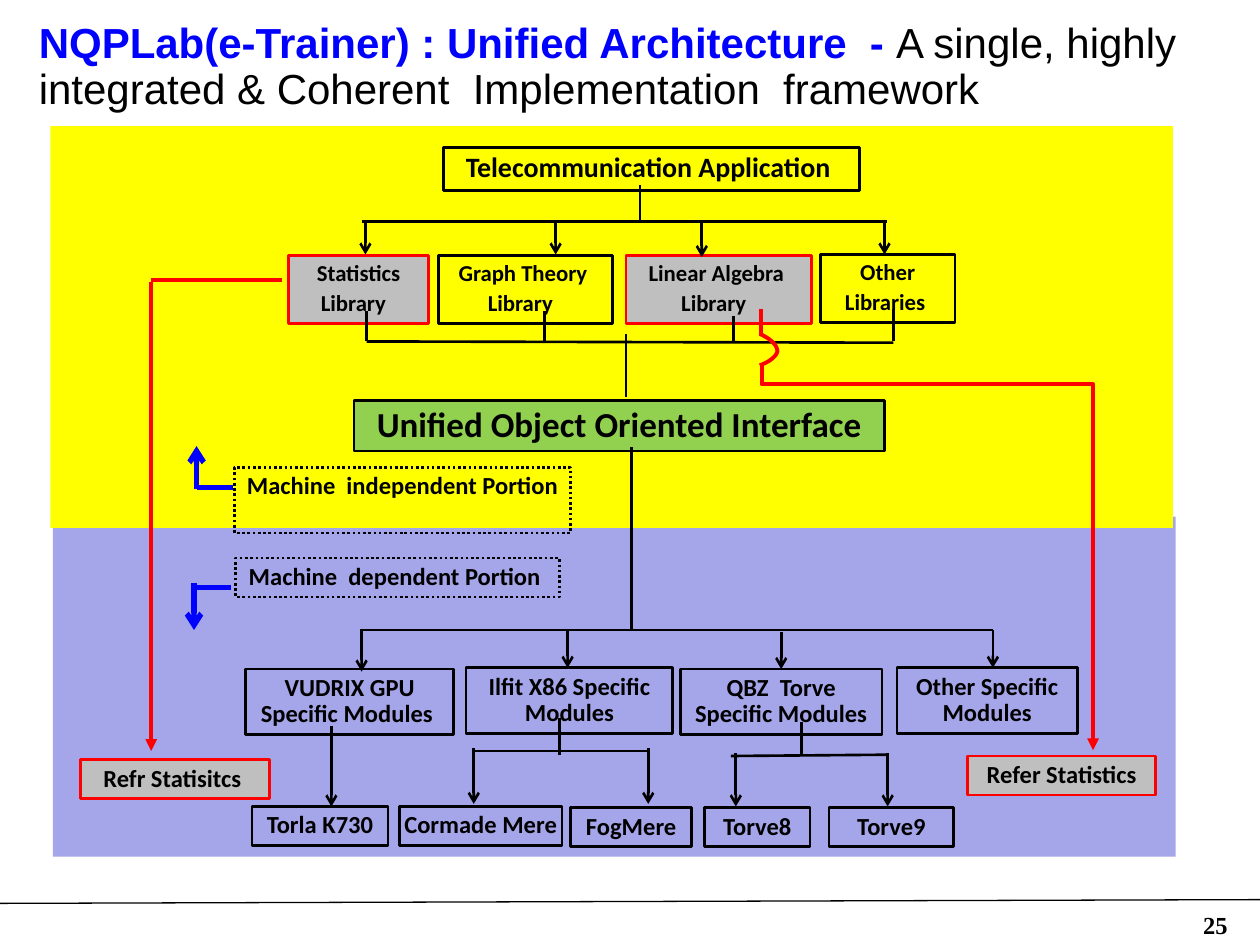
from lxml import etree
from pptx import Presentation
from pptx.dml.color import RGBColor
from pptx.enum.dml import MSO_LINE
from pptx.enum.shapes import MSO_CONNECTOR, MSO_SHAPE
from pptx.enum.text import MSO_ANCHOR, PP_ALIGN
from pptx.oxml.ns import qn
from pptx.util import Inches, Pt

RECT = MSO_SHAPE.RECTANGLE
LINE, ELBOW = MSO_CONNECTOR.STRAIGHT, MSO_CONNECTOR.ELBOW
LEFT, MID, TOP = PP_ALIGN.LEFT, PP_ALIGN.CENTER, MSO_ANCHOR.TOP
DOT = MSO_LINE.ROUND_DOT
WIDE, HIGH, COLS, ROWS = 10, 7.5, 100, 75
BLACK, RED, BLUE, GREY = "000000", "FF0000", "0000FF", "BFBFBF"


def col(n):
    """Turn grid columns into a length."""
    return Inches(n * WIDE / COLS)


def row(n):
    """Turn grid rows into a length."""
    return Inches(n * HIGH / ROWS)


def hue(code):
    """Turn a hex string into a colour."""
    return RGBColor.from_string(code)


def write(frame, lines, size=14, font="Calibri", align=MID, space=0.25, lead=0.9, wrap=True):
    """Fill a frame with lines, each a list of (text, colour, bold) runs."""
    frame.word_wrap = wrap
    frame.vertical_anchor = TOP
    for i, runs in enumerate(lines):
        para = frame.add_paragraph() if i else frame.paragraphs[0]
        para.alignment = align
        para.line_spacing = lead
        para.space_before = Pt(size * space)
        for words, code, bold in runs:
            run = para.add_run()
            run.text = words
            run.font.size, run.font.name, run.font.bold = Pt(size), font, bold
            run.font.color.rgb = hue(code)


def label(slide, box, lines, **form):
    """Add a text box."""
    x, y, w, h = box
    shape = slide.shapes.add_textbox(col(x), row(y), col(w), row(h))
    write(shape.text_frame, lines, **form)


def block(slide, box, words="", fill=None, edge=BLACK, dash=None, **form):
    """Add a rectangle with bold centred text, one paragraph a line."""
    x, y, w, h = box
    shape = slide.shapes.add_shape(RECT, col(x), row(y), col(w), row(h))
    shape.shadow.inherit = False
    if fill:
        shape.fill.solid()
        shape.fill.fore_color.rgb = hue(fill)
    else:
        shape.fill.background()
    if edge:
        shape.line.color.rgb = hue(edge)
        shape.line.width = Pt(1.5)
        if dash:
            shape.line.dash_style = dash
    else:
        shape.line.fill.background()
    if words:
        write(shape.text_frame, [[(part, BLACK, True)] for part in words.split("\n")], **form)


def link(slide, ends, code=BLACK, width=1.5, head=None, kind=LINE):
    """Add a connector, with an arrowhead at its end if one is named."""
    x1, y1, x2, y2 = ends
    wire = slide.shapes.add_connector(kind, col(x1), row(y1), col(x2), row(y2))
    wire.line.color.rgb = hue(code)
    wire.line.width = Pt(width)
    props = wire._element.spPr
    if head:
        etree.SubElement(props.find(qn("a:ln")), qn("a:tailEnd"), type=head)
    etree.SubElement(props, qn("a:effectLst"))
    return wire


def turn(wire, angle, bend):
    """Rotate an elbow and place its bend."""
    props = wire._element.spPr
    props.find(qn("a:xfrm")).set("rot", str(angle * 60000))
    guides = props.find(qn("a:prstGeom")).find(qn("a:avLst"))
    etree.SubElement(guides, qn("a:gd"), name="adj1", fmla=f"val {bend}")


def arc(slide, knots, code, width, steps=12):
    """Draw an open line along joined cubic curves."""
    dots = []
    for a, b, c, d in knots:
        for i in range(steps + 1):
            t = i / steps
            u = 1 - t
            dots.append(tuple(
                u**3 * p + 3 * u * u * t * q + 3 * u * t * t * r + t**3 * s
                for p, q, r, s in zip(a, b, c, d)))
    spots = [(col(x), row(y)) for x, y in dots]
    pen = slide.shapes.build_freeform(*spots[0])
    pen.add_line_segments(spots[1:], close=False)
    shape = pen.convert_to_shape()
    shape.shadow.inherit = False
    shape.fill.background()
    shape.line.color.rgb = hue(code)
    shape.line.width = Pt(width)


def frame(slide):
    """Add the title, page number, foot rule and two fields."""
    link(slide, (0, 71.7, 100, 71.4), width=0.75)
    label(slide, (94.5, 71.7, 5, 3.4), [[("25", BLACK, True)]],
          font="Times New Roman", align=LEFT, space=0, lead=1)
    block(slide, (4.2, 41, 89.1, 27), fill="A5A5E9", edge=None)
    block(slide, (4, 10, 89.1, 31.9), fill="FFFF00", edge=None)
    label(slide, (2.1, 1.3, 94.3, 8.2), [[
        ("NQPLab(e-Trainer) : Unified Architecture  - ", BLUE, True),
        ("A single, highly integrated & Coherent  Implementation  framework", BLACK, False),
    ]], size=24, font="Arial", align=LEFT, space=0)


def boxes(slide):
    """Add the boxes of every tier."""
    block(slide, (35.2, 11.7, 33, 3.4), "Telecommunication Application ", size=16)
    block(slide, (28.1, 31.8, 42.1, 4), "Unified Object Oriented Interface",
          fill="92D050", size=20, wrap=False)
    for x, y, w, words, fill, edge in (
            (22.9, 20.3, 11.1, "Statistics\nLibrary  ", GREY, RED),
            (34.8, 20.3, 13.8, "Graph Theory \nLibrary  ", None, BLACK),
            (49.7, 20.3, 14.7, "Linear Algebra \nLibrary  ", GREY, RED),
            (65.1, 20.2, 10.7, "Other\nLibraries ", None, BLACK)):
        block(slide, (x, y, w, 5.4), words, fill, edge, size=13)
    for x, y, w, words in (
            (19.5, 53.1, 16.5, "VUDRIX GPU Specific Modules "),
            (37, 53, 16.4, "Ilfit X86 Specific Modules"),
            (54, 53.1, 16, "QBZ  Torve Specific Modules"),
            (71.2, 53, 14.3, "Other Specific Modules")):
        block(slide, (x, y, w, 5.2), words)
    for x, y, w, words in (
            (20, 64, 10.8, "Torla K730"), (31.7, 64, 12.9, "Cormade Mere"),
            (45.3, 64.1, 9.6, "FogMere"), (55.9, 64.1, 8.4, "Torve8"),
            (65.8, 64.1, 9.9, "Torve9")):
        block(slide, (x, y, w, 3.1), words, wrap=False)
    for x, y, w, words in ((76.8, 60, 14.9, "Refer Statistics"),
                           (6.4, 60.3, 15, "Refr Statisitcs ")):
        block(slide, (x, y, w, 3.1), words, GREY, RED)
    block(slide, (18.7, 44.3, 25.7, 3.1), "Machine  dependent Portion ", dash=DOT)
    block(slide, (18.6, 37.1, 26.7, 5.2), "Machine  independent Portion ", dash=DOT)


def wires(slide):
    """Add the black tree of lines and arrows."""
    for ends in (
            (50.8, 14.7, 50.8, 17.6), (28.7, 17.6, 70.4, 17.6),
            (29.1, 27.1, 70.9, 27.2), (49.7, 26.5, 49.7, 31.5),
            (50.1, 35.5, 50.1, 50), (28.7, 50, 78.8, 50),
            (44.4, 57, 44.4, 59.9), (63.6, 57.3, 63.6, 59.9),
            (37.6, 59.6, 51.5, 59.6), (58, 60, 70.5, 59.9)):
        link(slide, ends)
    for x, y in ((29.1, 24.7), (43.2, 24.7), (58.2, 25.1), (70.9, 24.5)):
        link(slide, (x, y, x, 27.1))
    for x, top, end in (
            (29, 17.6, 20.2), (44.1, 17.6, 20.2), (55.7, 17.6, 20.4), (70.2, 17.5, 20.2),
            (28.7, 49.9, 53.3), (45.05, 50, 53), (62, 50.2, 53.1), (78.8, 50, 53),
            (26.3, 57.6, 64), (37.6, 59.4, 63.8), (51.45, 59.4, 63.8),
            (58.4, 59.8, 64), (70.45, 59.8, 64)):
        link(slide, (x, top, x, end), head="arrow")


def paths(slide):
    """Add the red reference paths and the blue portion arrows."""
    link(slide, (22.4, 22.2, 12, 22.2), RED, 2.25)
    link(slide, (12, 22.4, 12, 59.6), RED, 2.25, "triangle")
    link(slide, (60.4, 24.5, 60.4, 26.6), RED, 2.25)
    arc(slide, (((60.3, 26.5), (61.2, 26.9), (61.7, 27.4), (61.7, 27.9)),
                ((61.7, 27.9), (61.6, 28.3), (61.1, 28.7), (60.3, 29))), RED, 2.25)
    bent = link(slide, (88.9, 31.1, 58.3, 57.4), RED, 2.25, "triangle", ELBOW)
    turn(bent, 270, 5100)
    for x, y, edge, top, end in ((15.4, 46.6, 18.3, 46.3, 50), (15.6, 38.7, 18.5, 38.8, 35.4)):
        link(slide, (edge, y, x, y), BLUE, 3)
        link(slide, (x, top, x, end), BLUE, 3, "arrow")


def main():
    """Build the slide and save it."""
    deck = Presentation()
    deck.slide_width, deck.slide_height = Inches(WIDE), Inches(HIGH)
    slide = deck.slides.add_slide(deck.slide_layouts[6])
    for part in (frame, boxes, wires, paths):
        part(slide)
    deck.save("out.pptx")


if __name__ == "__main__":
    main()
